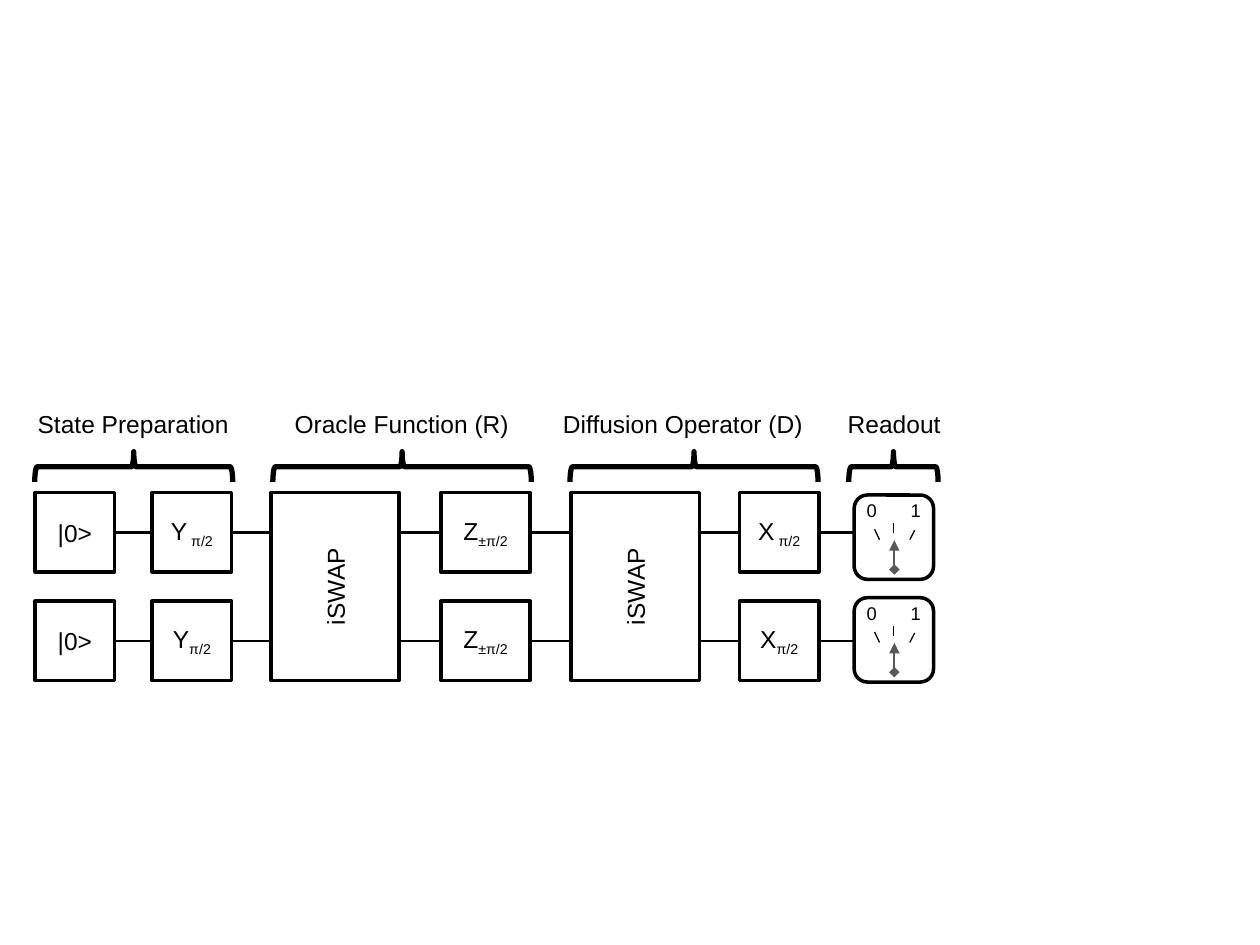
import pptx
import pptx.util
import pptx.dml.color
import pptx.enum.shapes
import pptx.enum.text
import lxml.etree
import pptx.oxml.ns

Cm, Pt = pptx.util.Cm, pptx.util.Pt
SHAPE = pptx.enum.shapes.MSO_SHAPE
rgb = pptx.dml.color.RGBColor.from_string
qn = pptx.oxml.ns.qn
BLACK, WHITE, GREY = "000000", "FFFFFF", "595959"


def add_outlined(shapes, kind, x, y, w, h, width, fill=WHITE):
    """Add a preset shape with a black outline; fill=None leaves it hollow."""
    sp = shapes.add_shape(kind, Cm(x), Cm(y), Cm(w), Cm(h))
    sp.shadow.inherit = False
    if fill:
        sp.fill.solid()
        sp.fill.fore_color.rgb = rgb(fill)
    else:
        sp.fill.background()
    sp.line.color.rgb = rgb(BLACK)
    sp.line.width = Pt(width)
    return sp


def add_line(shapes, x1, y1, x2, y2, width, color=BLACK):
    line = shapes.add_connector(pptx.enum.shapes.MSO_CONNECTOR.STRAIGHT,
                                Cm(x1), Cm(y1), Cm(x2), Cm(y2))
    line.line.color.rgb = rgb(color)
    line.line.width = Pt(width)
    lxml.etree.SubElement(line._element.spPr, qn("a:effectLst"))
    return line


prs = pptx.Presentation()
prs.slide_width, prs.slide_height = Cm(25.4), Cm(19.05)
s = prs.slides.add_slide(prs.slide_layouts[6])

GATE = 1.6
ROWS = [9.93, 12.12]
METER_X, METER_H = 17.22, 1.7
METER_TOPS = [9.98, 12.05]

# Qubit wires, running behind the gates
for y in ROWS:
    add_line(s.shapes, 1.6, y + GATE / 2, 17.3, y + GATE / 2, 1.5)

# Gates: x, y, width, height, text, subscript
gates = []
for x, w, name, subs in [
    (0.71, GATE, "|0>", ["", ""]),
    (3.07, GATE, "Y", [" π/2", "π/2"]),
    (8.89, 1.8, "Z", ["±π/2", "±π/2"]),
    (14.91, GATE, "X", [" π/2", "π/2"]),
]:
    gates += [(x, y, w, GATE, name, sub) for y, sub in zip(ROWS, subs)]
for x in (5.46, 11.51):
    gates.append((x, ROWS[0], 2.59, ROWS[1] + GATE - ROWS[0], "iSWAP", ""))

for x, y, w, h, name, sub in gates:
    sp = add_outlined(s.shapes, SHAPE.RECTANGLE, x, y, w, h, 2)
    tf = sp.text_frame
    tf.vertical_anchor = pptx.enum.text.MSO_ANCHOR.MIDDLE
    if name == "iSWAP":
        tf._txBody.bodyPr.set("vert", "vert270")
    p = tf.paragraphs[0]
    p.alignment = pptx.enum.text.PP_ALIGN.CENTER
    p.font.name, p.font.size = "Arial", Pt(14)
    p.font.color.rgb = rgb(BLACK)
    p.add_run().text = name
    if sub:
        r = p.add_run()
        r.text = sub
        r._r.get_or_add_rPr().set("baseline", "-25000")

# Stage braces; a left brace turned by 90 degrees about its centre
BRACE_Y, BRACE_H = 9.41, 0.61
labels = []
for text, label_x, label_w, left, span in [
    ("State Preparation", 0.51, 4.39, 0.7, 3.99),
    ("Oracle Function (R)", 5.69, 4.85, 5.5, 5.21),
    ("Diffusion Operator (D)", 11.1, 5.36, 11.49, 5),
    ("Readout", 16.84, 2.39, 17.11, 1.8),
]:
    brace = add_outlined(s.shapes, SHAPE.LEFT_BRACE, left + (span - BRACE_H) / 2,
                         BRACE_Y - span / 2, BRACE_H, span, 3, None)
    brace.rotation = 90
    labels.append((s.shapes, text, label_x, 8.13, label_w, 0.86, 14))

# Readout meters
TICKS = [(0.79, 0.77, 0.79, 0.56), (1.12, 0.9, 1.22, 0.71), (0.51, 0.9, 0.41, 0.69)]
for top in METER_TOPS:
    meter = s.shapes.add_group_shape().shapes
    add_outlined(meter, SHAPE.ROUNDED_RECTANGLE, METER_X, top, GATE, METER_H, 2)
    needle = add_line(meter, METER_X + 0.81, top + 1.5, METER_X + 0.81, top + 0.91, 1, GREY)
    for end, kind in (("a:headEnd", "diamond"), ("a:tailEnd", "triangle")):
        lxml.etree.SubElement(needle.get_or_add_ln(), qn(end), type=kind)
    for x1, y1, x2, y2 in TICKS:
        add_line(meter, METER_X + x1, top + y1, METER_X + x2, top + y2, 0.75)
    for digit, dx in (("0", 0), ("1", 0.89)):
        labels.append((meter, digit, METER_X + dx, top - 0.04, 0.74, 0.74, 10.5))

# Stage names and meter digits
for shapes, text, x, y, w, h, size in labels:
    tf = shapes.add_textbox(Cm(x), Cm(y), Cm(w), Cm(h)).text_frame
    tf.word_wrap = False
    tf.auto_size = pptx.enum.text.MSO_AUTO_SIZE.SHAPE_TO_FIT_TEXT
    p = tf.paragraphs[0]
    p.text = text
    p.font.name, p.font.size = "Arial", Pt(size)
    p.font.color.rgb = rgb(BLACK)

prs.save("out.pptx")
